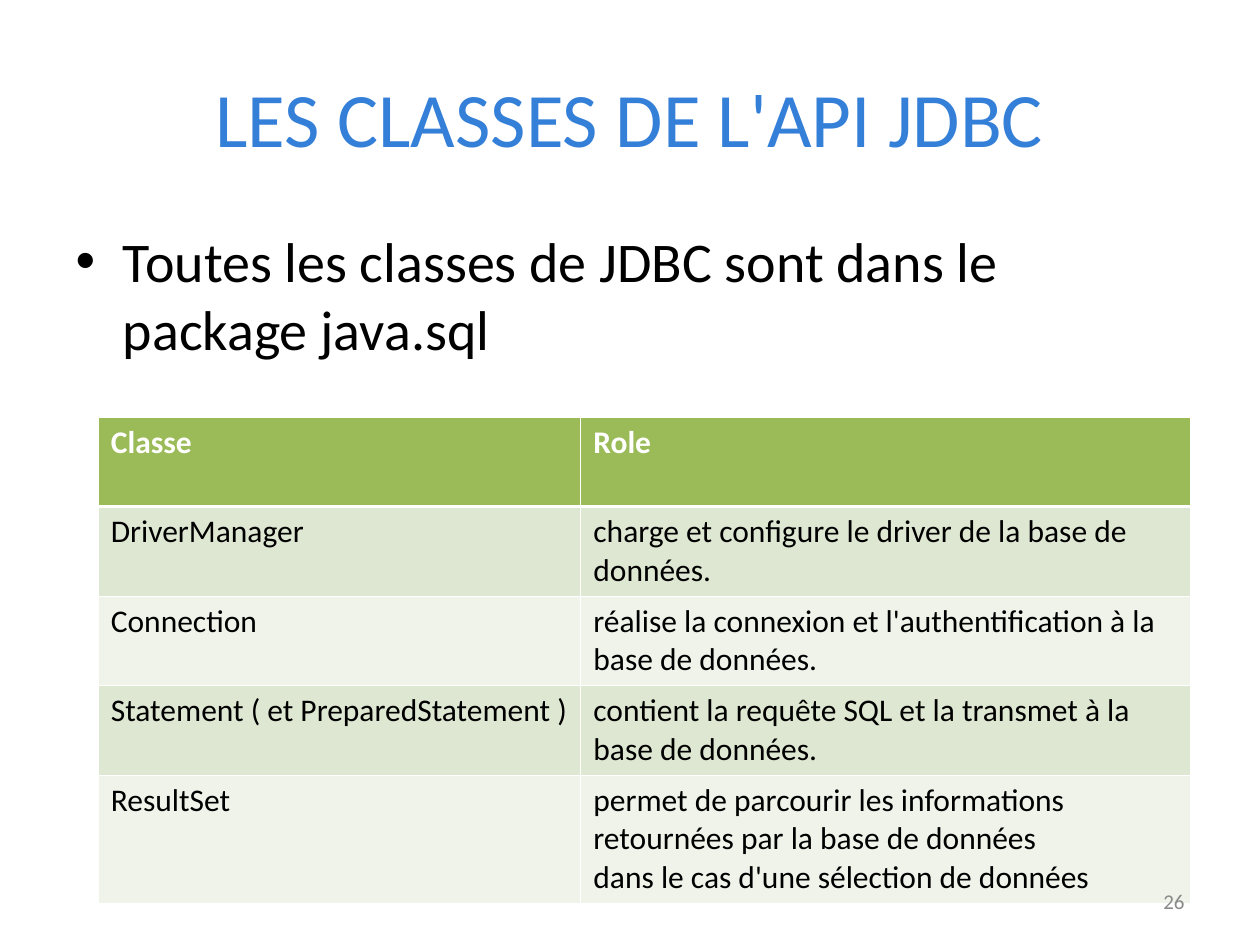
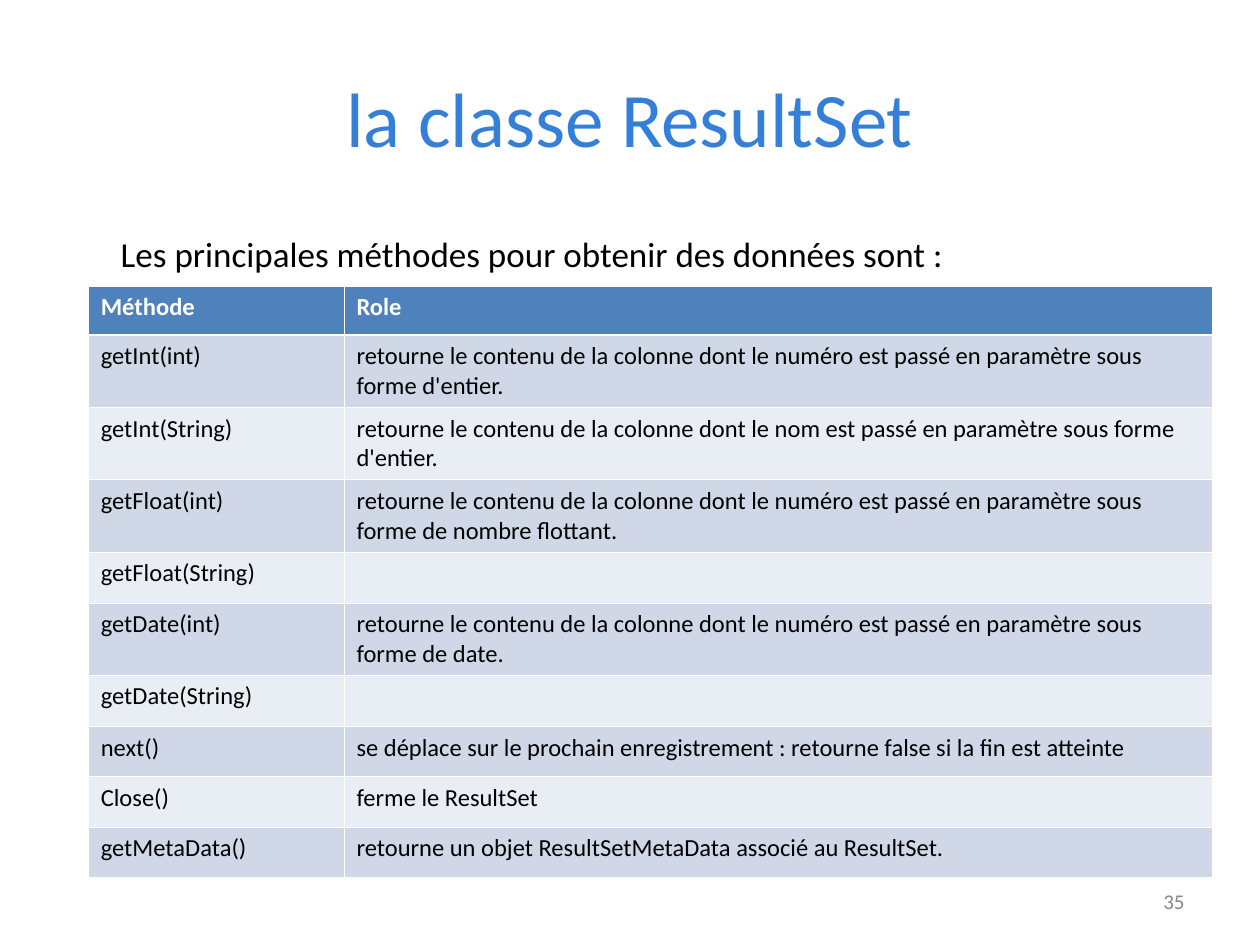
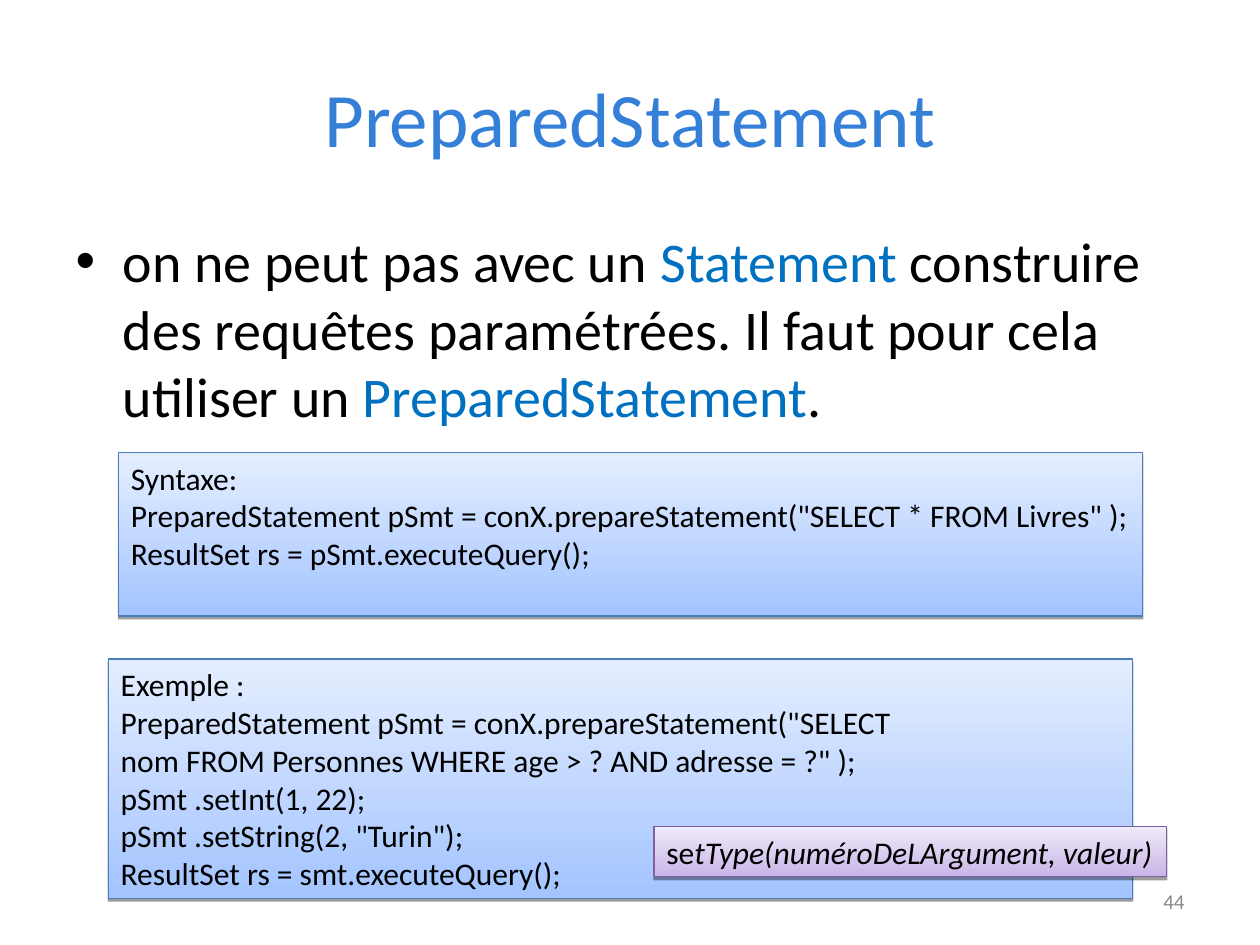
from lxml import etree
from pptx import Presentation
from pptx.dml.color import RGBColor
from pptx.enum.shapes import MSO_SHAPE
from pptx.enum.text import MSO_ANCHOR, PP_ALIGN
from pptx.oxml import parse_xml
from pptx.oxml.ns import nsdecls, qn
from pptx.util import Inches, Pt

RECTANGLE = MSO_SHAPE.RECTANGLE
MIDDLE, TOP = MSO_ANCHOR.MIDDLE, MSO_ANCHOR.TOP
LEFT, CENTER, RIGHT = PP_ALIGN.LEFT, PP_ALIGN.CENTER, PP_ALIGN.RIGHT

THEME = {
    "font": "Calibri",
    "title": {"size": 44, "color": "347FD8"},
    "body": {"size": 32, "color": "000000"},
    "keyword": {"size": 32, "color": "0070C0"},
    "lead": {"size": 20, "color": "000000"},
    "code": {"size": 18, "color": "000000"},
    "argument": {"size": 18, "color": "000000", "italic": True},
    "number": {"size": 12, "color": "898989"},
    "header": {"color": "FFFFFF", "bold": True},
    "cell": {"color": "000000", "bold": False},
    "green": {"header": "9BBB59", "bands": ("DEE7D1", "EFF3EA")},
    "blue": {"header": "4F81BD", "bands": ("D0D8E8", "E9EDF4")},
    "blue box": {"stops": ("A3C4FF", "E5EEFF"), "line": "4A7EBB"},
    "violet box": {"stops": ("C9B5E8", "F0EAF9"), "line": "7D60A0"},
    "border": "FFFFFF",
}
THIN, THICK = Pt(0.45), Pt(1.47)


def write(frame, paragraphs, align=LEFT):
    """Fill a text frame; each paragraph is a list of (text, style) runs."""
    for index, runs in enumerate(paragraphs):
        paragraph = frame.add_paragraph() if index else frame.paragraphs[0]
        paragraph.alignment = align
        paragraph.space_before = Pt(0)
        for text, style in runs:
            run = paragraph.add_run()
            run.text = text
            formats = {"name": THEME["font"], **style, "size": Pt(style["size"])}
            run.font.color.rgb = RGBColor.from_string(formats.pop("color"))
            for attribute, value in formats.items():
                setattr(run.font, attribute, value)


def add_class_table(slide, left, top, widths, heights, rows, palette, size):
    """Add a two-column table with a coloured header and banded rows."""
    table = slide.shapes.add_table(
        len(rows), len(widths), Inches(left), Inches(top),
        Inches(sum(widths)), Inches(sum(heights))).table
    for column, width in zip(table.columns, widths):
        column.width = Inches(width)
    for r, (row, height) in enumerate(zip(rows, heights)):
        table.rows[r].height = Inches(height)
        style = {**THEME["cell" if r else "header"], "size": size}
        color = palette["bands"][(r - 1) % 2] if r else palette["header"]
        borders = {"L": THIN, "R": THIN,
                   "T": THICK if r == 1 else THIN,
                   "B": THICK if r == 0 else THIN}
        for c, text in enumerate(row):
            cell = table.cell(r, c)
            if text:
                write(cell.text_frame,
                      [[(line, style)] for line in text.split("\n")])
            properties = cell._tc.get_or_add_tcPr()
            for side, width in borders.items():
                line = etree.SubElement(properties, qn(f"a:ln{side}"), w=str(width))
                fill = etree.SubElement(line, qn("a:solidFill"))
                etree.SubElement(fill, qn("a:srgbClr"), val=THEME["border"])
            cell.fill.solid()
            cell.fill.fore_color.rgb = RGBColor.from_string(color)


prs = Presentation()
prs.slide_width, prs.slide_height = Inches(10), Inches(7.5)
TITLE_AND_CONTENT, TITLE_ONLY = prs.slide_layouts[1], prs.slide_layouts[5]

# Titles and page numbers
pages = [
    (TITLE_AND_CONTENT, "LES CLASSES DE L'API JDBC", "26"),
    (TITLE_ONLY, "la classe ResultSet", "35"),
    (TITLE_AND_CONTENT, "PreparedStatement", "44"),
]
for layout, heading, _ in pages:
    slide = prs.slides.add_slide(layout)
    title = slide.shapes.title
    title.left, title.top = Inches(0.5), Inches(0.3)
    title.width, title.height = Inches(9), Inches(1.25)
    title.text_frame.vertical_anchor = MIDDLE
    write(title.text_frame, [[(heading, THEME["title"])]], CENTER)
api_slide, result_slide, prepared_slide = prs.slides

# Bulleted introductions
body, keyword = THEME["body"], THEME["keyword"]
introductions = [
    (api_slide, [("Toutes les classes de JDBC sont dans le package java.sql", body)]),
    (prepared_slide, [
        ("on ne peut pas avec un ", body),
        ("Statement", keyword),
        (" construire des requêtes paramétrées. Il faut pour cela utiliser un ", body),
        ("PreparedStatement", keyword),
        (".", body),
    ]),
]
for slide, runs in introductions:
    content = slide.placeholders[1]
    content.left, content.top = Inches(0.5), Inches(1.75)
    content.width, content.height = Inches(9), Inches(4.95)
    write(content.text_frame, [runs])

# Classes of the API
add_class_table(
    api_slide, 0.78, 3.31, (3.83, 4.84), [0.71] * 4 + [1.02],
    [
        ("Classe", "Role"),
        ("DriverManager", "charge et configure le driver de la base de données."),
        ("Connection",
         "réalise la connexion et l'authentification à la base de données."),
        ("Statement ( et PreparedStatement )",
         "contient la requête SQL et la transmet à la base de données."),
        ("ResultSet",
         "permet de parcourir les informations retournées par la base de données\n"
         "dans le cas d'une sélection de données"),
    ],
    THEME["green"], 18)

# Methods of ResultSet
COLUMN_CONTENT = "retourne le contenu de la colonne dont le {} est passé en paramètre sous forme {}."
methods = [
    ("Méthode", "Role"),
    ("getInt(int)", COLUMN_CONTENT.format("numéro", "d'entier")),
    ("getInt(String)", COLUMN_CONTENT.format("nom", "d'entier")),
    ("getFloat(int)", COLUMN_CONTENT.format("numéro", "de nombre flottant")),
    ("getFloat(String)", ""),
    ("getDate(int)", COLUMN_CONTENT.format("numéro", "de date")),
    ("getDate(String)", ""),
    ("next()",
     "se déplace sur le prochain enregistrement : retourne false si la fin est atteinte"),
    ("Close()", "ferme le ResultSet"),
    ("getMetaData()", "retourne un objet ResultSetMetaData associé au ResultSet."),
]
method_heights = [0.39] + [
    0.57 if role.startswith("retourne le contenu") else 0.4 for _, role in methods[1:]]
add_class_table(result_slide, 0.7, 2.27, (2.03, 6.89), method_heights,
                methods, THEME["blue"], 14)

lead = result_slide.shapes.add_textbox(
    Inches(0.86), Inches(1.8), Inches(7.11), Inches(0.77))
lead.text_frame.word_wrap = True
write(lead.text_frame, [[
    ("Les principales méthodes pour obtenir des données sont :", THEME["lead"])]])

# Syntax, example and setter signature
code = THEME["code"]
syntax = [
    "Syntaxe:",
    'PreparedStatement pSmt = conX.prepareStatement("SELECT * FROM Livres" );',
    "ResultSet rs = pSmt.executeQuery();",
]
example = [
    "Exemple :",
    'PreparedStatement pSmt = conX.prepareStatement("SELECT',
    'nom FROM Personnes WHERE age > ? AND adresse = ?" );',
    "pSmt .setInt(1, 22);",
    'pSmt .setString(2, "Turin");',
    "ResultSet rs = smt.executeQuery();",
]
setter = [[("se", code), ("tType(numéroDeLArgument, valeur)", THEME["argument"])]]
code_boxes = [
    ((0.94, 3.59, 8.13, 1.3), "blue box", True, [[(line, code)] for line in syntax]),
    ((0.86, 5.23, 8.13, 1.9), "blue box", True, [[(line, code)] for line in example]),
    ((5.19, 6.56, 4.07, 0.4), "violet box", False, setter),
]
for bounds, palette_name, wraps, paragraphs in code_boxes:
    palette = THEME[palette_name]
    box = prepared_slide.shapes.add_shape(RECTANGLE, *map(Inches, bounds))
    box.fill.gradient()
    box.fill.gradient_angle = 90
    for position, (stop, color) in enumerate(
            zip(box.fill.gradient_stops, palette["stops"])):
        stop.position = position
        stop.color.rgb = RGBColor.from_string(color)
    box.line.color.rgb = RGBColor.from_string(palette["line"])
    box.line.width = Pt(0.75)
    box.shadow.inherit = False
    box._element.spPr.find(qn("a:effectLst")).append(parse_xml(
        f'<a:outerShdw {nsdecls("a")} blurRad="0" dist="{Pt(1.6)}" dir="5400000" '
        'rotWithShape="0"><a:srgbClr val="000000"><a:alpha val="38000"/>'
        '</a:srgbClr></a:outerShdw>'))
    box.text_frame.word_wrap = wraps
    box.text_frame.vertical_anchor = TOP
    write(box.text_frame, paragraphs)

for slide, (_, _, number) in zip(prs.slides, pages):
    footer = slide.shapes.add_textbox(
        Inches(7.17), Inches(6.95), Inches(2.33), Inches(0.4))
    footer.text_frame.word_wrap = True
    footer.text_frame.vertical_anchor = MIDDLE
    write(footer.text_frame, [[(number, THEME["number"])]], RIGHT)

prs.save("out.pptx")
